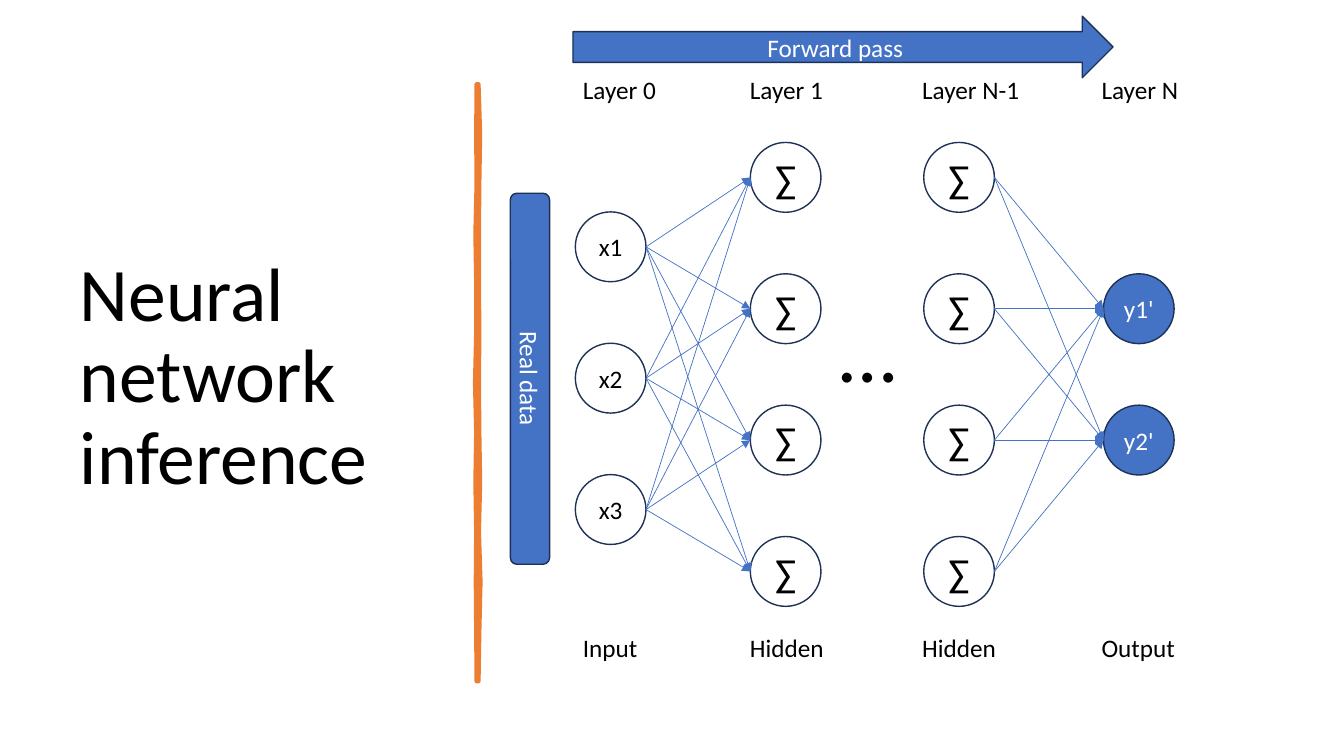
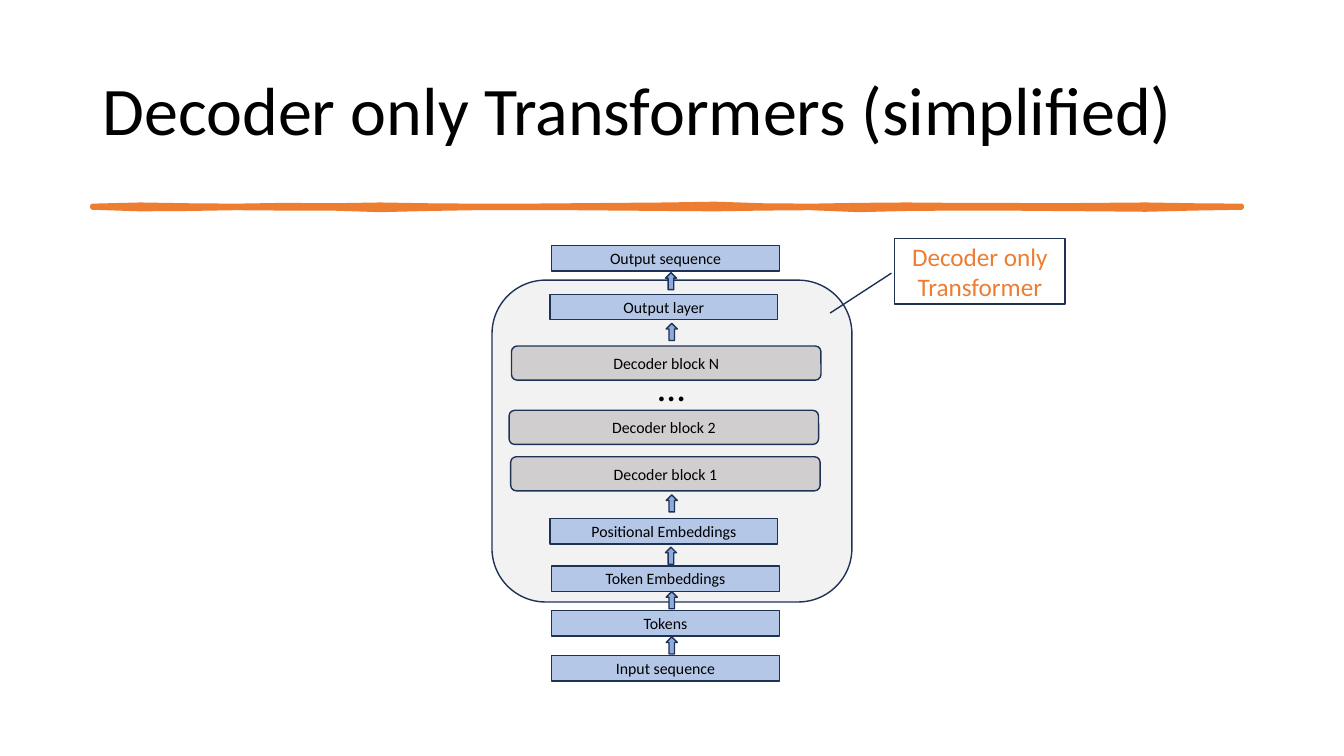
"""Build two slides: a neural network diagram and a decoder-only transformer stack."""
from itertools import product

from lxml import etree
from pptx import Presentation
from pptx import util as u
from pptx.dml.color import RGBColor
from pptx.enum import shapes, text
from pptx.oxml.ns import qn

FONT = "Calibri"
BLACK, WHITE = "000000", "FFFFFF"
BLUE, NAVY, ORANGE = "4472C4", "1E3256", "ED7D31"
LIGHT_BLUE, MID_BLUE, GREY = "B4C7E7", "8FAADC", "D0CECE"
KIND = shapes.MSO_SHAPE

NODE_WIDTH, NODE_HEIGHT, PITCH = 1.78, 1.76, 3.31
SUM = ["∑"] * 4
LAYERS = [
    dict(x=14.5, first=6.22, nodes=["x1", "x2", "x3"], size=18,
         label_x=14.69, top="Layer 0", bottom="Input"),
    dict(x=18.91, first=4.47, nodes=SUM, size=28,
         label_x=18.9, top="Layer 1", bottom="Hidden"),
    dict(x=23.28, first=4.47, nodes=SUM, size=28,
         label_x=23.24, top="Layer N-1", bottom="Hidden"),
    dict(x=27.81, first=7.78, nodes=["y1'", "y2'"], size=18, fill=BLUE, color=WHITE,
         label_x=27.76, top="Layer N", bottom="Output"),
]
LINKED = [(0, 1), (2, 3)]
LABEL_TOP, LABEL_BOTTOM = 1.87, 15.94

BARS = [
    ("Input sequence", 13.9, 16.52),
    ("Output sequence", 13.9, 6.19),
    ("Tokens", 13.9, 15.39),
    ("Token Embeddings", 13.9, 14.26),
    ("Positional Embeddings", 13.86, 13.07),
    ("Output layer", 13.86, 7.42),
]
BLOCKS = [
    ("Decoder block 1", 12.87, 11.51),
    ("Decoder block 2", 12.83, 10.34),
    ("Decoder block N", 12.89, 8.72),
]
ARROWS = [(16.79, 16.05), (16.79, 14.91), (16.77, 13.79),
          (16.79, 12.47), (16.79, 8.15), (16.77, 6.87)]

TALL_BRUSH = ([2, 6, 4, 3, 3, 4, 3, 4, 6, 3, 7, 4, 2],
              [2, 3, 2, 5, 3, 3, 6, 3, 5, 3, 4, 3, 2])
WIDE_BRUSH = ([2, 5, 3, 2, 4, 3, 5, 3, 2, 2, 3, 4, 5, 7, 3, 2, 4, 5, 4, 4, 3, 4, 5, 3, 2],
              [2, 6, 5, 3, 4, 4, 8, 5, 3, 3, 3, 4, 5, 6, 4, 3, 8, 5, 4, 4, 5, 6, 7, 4, 2])


def rgb(value):
    return RGBColor.from_string(value)


def write(frame, words, size=18, color=BLACK, align=text.PP_ALIGN.LEFT,
          anchor=text.MSO_ANCHOR.TOP, inset=0, spacing=None):
    frame.word_wrap = True
    frame.auto_size = text.MSO_AUTO_SIZE.NONE
    frame.vertical_anchor = anchor
    if inset is not None:
        frame.margin_left = frame.margin_right = u.Cm(inset)
        frame.margin_top = frame.margin_bottom = u.Cm(inset)
    para = frame.paragraphs[0]
    para.alignment = align
    para.line_spacing = spacing
    span = para.add_run()
    span.text = words
    span.font.name = FONT
    span.font.size = u.Pt(size)
    span.font.color.rgb = rgb(color)


def place(box):
    return [u.Cm(value) for value in box]


def add_title(page, words, box, size):
    title = page.shapes.title
    title.left, title.top, title.width, title.height = place(box)
    write(title.text_frame, words, size=size, anchor=text.MSO_ANCHOR.MIDDLE,
          inset=None, spacing=0.9)


def add_label(page, words, box, **style):
    write(page.shapes.add_textbox(*place(box)).text_frame, words, **style)


def add_figure(page, kind, box, words="", fill=None, opacity=None, turn=0, **style):
    figure = page.shapes.add_shape(kind, *place(box))
    figure.shadow.inherit = False
    figure.rotation = turn
    figure.line.color.rgb = rgb(NAVY)
    figure.line.width = u.Pt(1)
    if fill:
        figure.fill.solid()
        figure.fill.fore_color.rgb = rgb(fill)
    else:
        figure.fill.background()
    if opacity is not None:
        color = next(figure._element.spPr.iter(qn("a:srgbClr")))
        etree.SubElement(color, qn("a:alpha"), val=str(opacity * 1000))
    if words:
        write(figure.text_frame, words, align=text.PP_ALIGN.CENTER,
              anchor=text.MSO_ANCHOR.MIDDLE, **style)
    return figure


def add_arrow(page, start, end):
    arrow = page.shapes.add_connector(shapes.MSO_CONNECTOR.STRAIGHT, *place(start + end))
    arrow.line.color.rgb = rgb(BLUE)
    arrow.line.width = u.Pt(0.5)
    etree.SubElement(arrow.line._get_or_add_ln(), qn("a:tailEnd"), type="triangle")
    etree.SubElement(arrow._element.spPr, qn("a:effectLst"))


def add_brush(page, x, y, length, edges, turn=0):
    above, below = edges
    step = length / (len(above) - 1)
    outline = [(step * index, -width / 100) for index, width in enumerate(above)]
    outline += [(step * index, width / 100) for index, width in enumerate(below)][::-1]
    points = [(u.Cm(x + dx), u.Cm(y + dy)) for dx, dy in outline]
    builder = page.shapes.build_freeform(*points[0])
    builder.add_line_segments(points[1:], close=True)
    brush = builder.convert_to_shape()
    brush.shadow.inherit = False
    brush.rotation = turn
    brush.fill.solid()
    brush.fill.fore_color.rgb = rgb(ORANGE)
    brush.line.color.rgb = rgb(ORANGE)
    brush.line.width = u.Pt(3.25)
    etree.SubElement(brush.line._get_or_add_ln(), qn("a:round"))


def node_centers(layer):
    return [layer["first"] + PITCH * row for row in range(len(layer["nodes"]))]


def build_network(page):
    add_title(page, "Neural network inference", (1.76, 1.77, 9.5, 15.52), 54)
    add_brush(page, 4.52, 9.65, 15.04, TALL_BRUSH, turn=90)
    for layer in LAYERS:
        for words, center in zip(layer["nodes"], node_centers(layer)):
            box = (layer["x"], center - NODE_HEIGHT / 2, NODE_WIDTH, NODE_HEIGHT)
            add_figure(page, KIND.OVAL, box, words, fill=layer.get("fill"),
                       size=layer["size"], color=layer.get("color", BLACK))
    for source, target in LINKED:
        left, right = LAYERS[source], LAYERS[target]
        for start, end in product(node_centers(left), node_centers(right)):
            add_arrow(page, (left["x"] + NODE_WIDTH, start), (right["x"], end))
    add_label(page, "…", (21.16, 7.56, 1.6, 3.1), size=59)
    for side, top in (("bottom", LABEL_BOTTOM), ("top", LABEL_TOP)):
        for layer in LAYERS:
            add_label(page, layer[side], (layer["label_x"], top, 2.6, 0.8))
    add_figure(page, KIND.RIGHT_ARROW, (14.44, 0.41, 13.61, 1.55), "Forward pass",
               fill=BLUE, color=WHITE)
    add_figure(page, KIND.ROUNDED_RECTANGLE, (8.68, 9.05, 9.35, 0.99), "Real data",
               fill=BLUE, color=WHITE, turn=90)


def build_decoder(page):
    add_title(page, "Decoder only Transformers (simplified)", (2.33, 1.02, 29.21, 3.68), 48.6)
    add_brush(page, 2.33, 5.21, 28.96, WIDE_BRUSH)
    add_figure(page, KIND.ROUNDED_RECTANGLE, (12.4, 7.06, 9.07, 8.11), fill=GREY, opacity=25)
    for words, left, top in BARS:
        add_figure(page, KIND.RECTANGLE, (left, top, 5.74, 0.64), words,
                   fill=LIGHT_BLUE, size=11.3)
    for left, top in ARROWS:
        add_figure(page, KIND.UP_ARROW, (left, top, 0.28, 0.43), fill=MID_BLUE)
    callout = add_figure(page, KIND.LINE_CALLOUT_1, (22.55, 6.01, 4.29, 1.65),
                         "Decoder only Transformer", color=ORANGE)
    for index, value in enumerate((0.53, -0.02, 1.14, -0.38)):
        callout.adjustments[index] = value
    for words, left, top in BLOCKS:
        add_figure(page, KIND.ROUNDED_RECTANGLE, (left, top, 7.8, 0.86), words,
                   fill=GREY, size=11.3)
    add_label(page, "…", (16.58, 9.12, 0.8, 1.2), size=28)


def main():
    deck = Presentation()
    deck.slide_width, deck.slide_height = u.Cm(33.87), u.Cm(19.05)
    for build in (build_network, build_decoder):
        build(deck.slides.add_slide(deck.slide_layouts[5]))
    deck.save("out.pptx")


if __name__ == "__main__":
    main()
